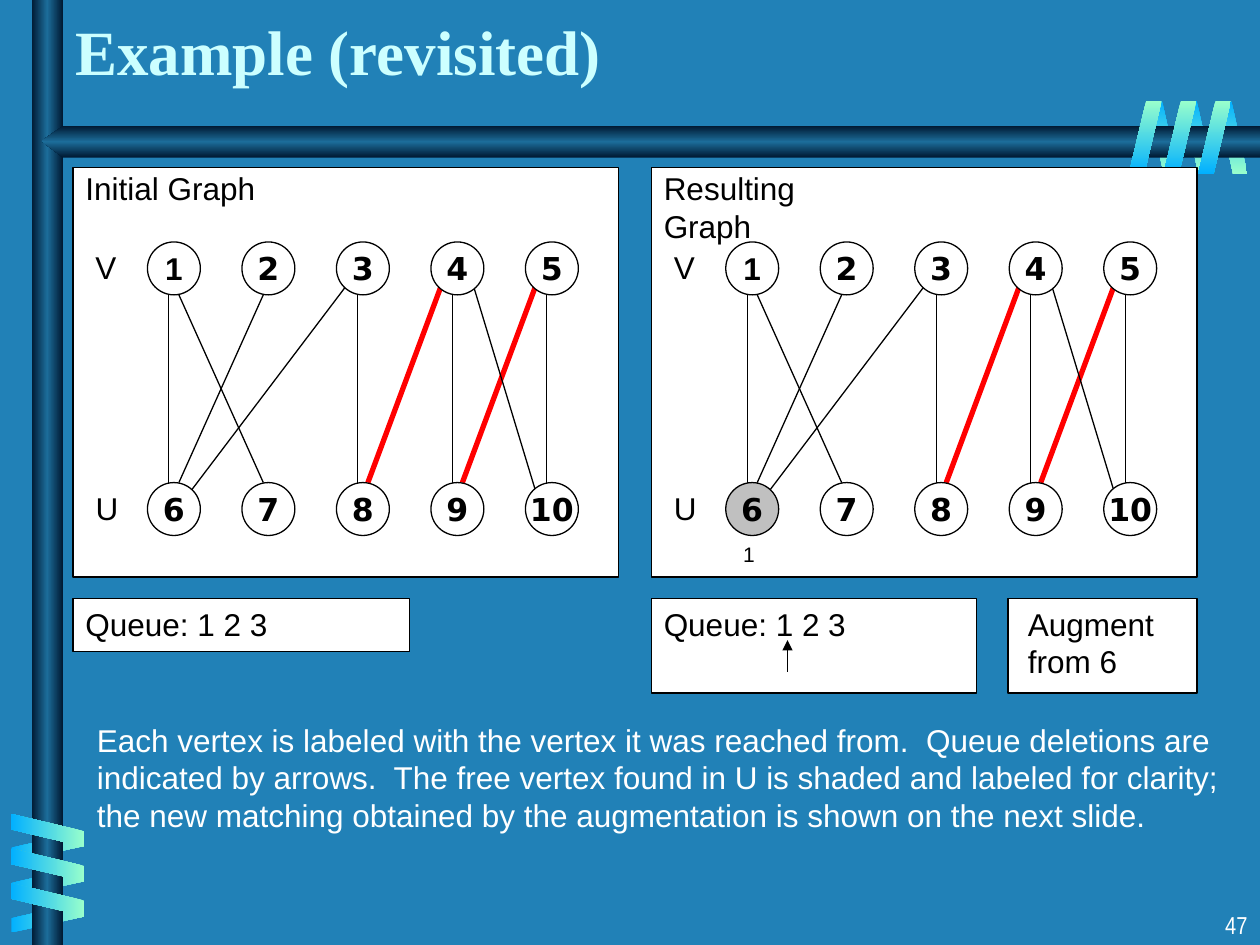
from lxml.etree import SubElement
from pptx import Presentation
from pptx.dml.color import RGBColor
from pptx.enum.shapes import MSO_CONNECTOR, MSO_SHAPE
from pptx.enum.text import MSO_ANCHOR, PP_ALIGN
from pptx.oxml.ns import qn
from pptx.util import Inches, Pt

BLUE = RGBColor(0x21, 0x81, 0xB7)
SKY = RGBColor(0x01, 0xB0, 0xFF)
MINT = RGBColor(0x99, 0xFF, 0xCC)
NAVY = RGBColor(0x00, 0x19, 0x32)
STEEL = RGBColor(0x1C, 0x6D, 0x9A)
PALE = RGBColor(0xCC, 0xFF, 0xFF)
WHITE = RGBColor(0xFF, 0xFF, 0xFF)
GRAY = RGBColor(0xC0, 0xC0, 0xC0)
BLACK = RGBColor(0, 0, 0)
RED = RGBColor(0xFF, 0, 0)

PITCH, NODE = 0.75, 0.42
NEAR, FAR = (0.04, 0), (0.125, 0.08)  # shift from node centre, depth past rim
# vertex in V, vertex in U, offset at each end, matched or not
EDGES = [
    (1, 6, NEAR, NEAR, False), (1, 7, NEAR, NEAR, False),
    (3, 8, NEAR, NEAR, False), (4, 9, NEAR, NEAR, False),
    (5, 10, NEAR, NEAR, False), (2, 6, NEAR, NEAR, False),
    (3, 6, FAR, FAR, False), (4, 8, FAR, NEAR, True),
    (5, 9, FAR, NEAR, True), (4, 10, FAR, FAR, False),
]


def box(*sizes):
    return [Inches(size) for size in sizes]


def write(frame, text, size=18, font="Arial", color=BLACK, bold=False,
          align=PP_ALIGN.LEFT, anchor=MSO_ANCHOR.TOP, wrap=False):
    frame.text = text
    frame.word_wrap = wrap
    frame.vertical_anchor = anchor
    for para in frame.paragraphs:
        para.alignment = align
        para.font.size = Pt(size)
        para.font.name = font
        para.font.color.rgb = color
        para.font.bold = bold


def label(slide, at, text, **style):
    write(slide.shapes.add_textbox(*box(*at)).text_frame, text, **style)


def shape(slide, kind, at, fill=WHITE):
    item = slide.shapes.add_shape(kind, *box(*at))
    item.shadow.inherit = False
    item.fill.solid()
    item.fill.fore_color.rgb = fill
    item.line.color.rgb = BLACK
    item.line.width = Pt(0.75)
    return item


def line(slide, start, end, color=BLACK, width=0.75, arrow=False):
    item = slide.shapes.add_connector(
        MSO_CONNECTOR.STRAIGHT, *box(*start, *end))
    item.line.color.rgb = color
    item.line.width = Pt(width)
    if arrow:
        SubElement(item.line._get_or_add_ln(), qn("a:tailEnd"), type="triangle")
    SubElement(item._element.spPr, qn("a:effectLst"))


def shade(item, colors, angle):
    """Fill with evenly spaced colours, at an angle fixed to the slide."""
    item.shadow.inherit = False
    item.line.fill.background()
    item.fill.gradient()
    item.fill.gradient_angle = 360 - angle
    grad = item._element.spPr.find(qn("a:gradFill"))
    grad.set("rotWithShape", "0")
    stops = grad.find(qn("a:gsLst"))
    stops.clear()
    for i, color in enumerate(colors):
        stop = SubElement(stops, qn("a:gs"),
                          pos=str(100000 * i // (len(colors) - 1)))
        SubElement(stop, qn("a:srgbClr"), val=str(color))


def strips(slide, at, step, colors, angle, turn=0, flip=False):
    """Three slanted strips, each moved by one step from the last."""
    left, top, wide, high = at
    for i in range(3):
        item = slide.shapes.add_shape(
            MSO_SHAPE.PARALLELOGRAM,
            *box(left + i * step[0], top + i * step[1], wide, high))
        item.adjustments[0] = 0.53
        item.rotation = turn
        if flip:
            item._element.spPr.find(qn("a:xfrm")).set("flipH", "1")
        shade(item, colors, angle)


def frame(slide):
    """Bars and coils along the left and top of the slide."""
    back, front, bar = (SKY, MINT), (MINT, SKY), (NAVY, STEEL, NAVY)
    strips(slide, (9.66, 0.8, 0.24, 0.58), (-0.275, 0), back, 90, 180, True)
    strips(slide, (0.26, 6.43, 0.24, 0.58), (0, 0.28), back, 180, 90, True)
    post = slide.shapes.add_shape(MSO_SHAPE.RECTANGLE, *box(0.25, 0, 0.25, 7.5))
    shade(post, bar, 180)
    pen = slide.shapes.build_freeform(Inches(10), Inches(1))
    pen.add_line_segments(
        [box(*spot) for spot in ((0.5, 1), (0.33, 1.12), (0.5, 1.25), (10, 1.25))])
    shade(pen.convert_to_shape(), bar, 90)
    strips(slide, (0.25, 6.3, 0.26, 0.58), (0, 0.275), front, 180, 270)
    strips(slide, (9.51, 0.8, 0.26, 0.58), (-0.275, 0), front, 90)


def graph(slide, left, top, title, free=None):
    """Panel with a bipartite graph; free is the shaded vertex."""
    shape(slide, MSO_SHAPE.RECTANGLE, (left, top, 4.33, 3.25))
    first = left + 0.59
    rows = top + 0.59, top + 2.5

    def place(num):
        return first + (num - 1) % 5 * PITCH

    for a, b, tip, end, match in EDGES:
        ax, bx = place(a) + NODE / 2, place(b) + NODE / 2
        side = 1 if bx > ax else -1
        # upright edges keep left of both centres
        back = side if ax == bx else -side
        line(slide, (ax + side * tip[0], rows[0] + NODE - tip[1]),
             (bx + back * end[0], rows[1] + end[1]),
             RED if match else BLACK, 3 if match else 0.75)
    for num in range(1, 11):
        node = shape(slide, MSO_SHAPE.OVAL,
                     (place(num), rows[num > 5], NODE, NODE),
                     GRAY if num == free else WHITE)
        write(node.text_frame, str(num), bold=True, align=PP_ALIGN.CENTER,
              font="Arial" if num == 1 else "DejaVu Sans",
              anchor=MSO_ANCHOR.MIDDLE)
    for name, y, wide in zip("VU", rows, (0.36, 0.38)):
        label(slide, (left + 0.08, y, wide, 0.4), name)
    label(slide, (left, top - 0.04, 2, 0.4), title, wrap=True)
    if free:
        label(slide, (place(free) + 0.04, rows[1] + NODE, 0.29, 0.3), "1", size=12)


def queue(slide, at):
    shape(slide, MSO_SHAPE.RECTANGLE, at)
    label(slide, (*at[:2], 2.06, 0.4), "Queue: 1 2 3", wrap=True)


def main():
    deck = Presentation()
    deck.slide_width, deck.slide_height = box(10, 7.5)
    slide = deck.slides.add_slide(deck.slide_layouts[6])
    slide.background.fill.solid()
    slide.background.fill.fore_color.rgb = BLUE
    frame(slide)
    label(slide, (0.5, 0, 9.5, 0.75), "Example (revisited)", size=36,
          font="Times New Roman", color=PALE, bold=True,
          anchor=MSO_ANCHOR.BOTTOM, wrap=True)
    graph(slide, 0.58, 1.33, "Initial Graph")
    graph(slide, 5.17, 1.33, "Resulting Graph", free=6)
    queue(slide, (0.58, 4.75, 2.67, 0.42))
    queue(slide, (5.17, 4.75, 2.58, 0.75))
    line(slide, (6.25, 5.33), (6.25, 5.08), arrow=True)
    shape(slide, MSO_SHAPE.RECTANGLE, (8, 4.75, 1.5, 0.75))
    label(slide, (8.06, 4.75, 1.27, 0.7), "Augment\nfrom 6")
    label(slide, (0.67, 5.67, 9.33, 1.3),
          "Each vertex is labeled with the vertex it was reached from.  "
          "Queue deletions are indicated by arrows.  The free vertex found in U "
          "is shaded and labeled for clarity; the new matching obtained by the "
          "augmentation is shown on the next slide.", color=WHITE, wrap=True)
    label(slide, (7.92, 7.17, 2.08, 0.33), "47", size=14, font="Arial Narrow",
          color=WHITE, align=PP_ALIGN.RIGHT, wrap=True)
    deck.save("out.pptx")


if __name__ == "__main__":
    main()
